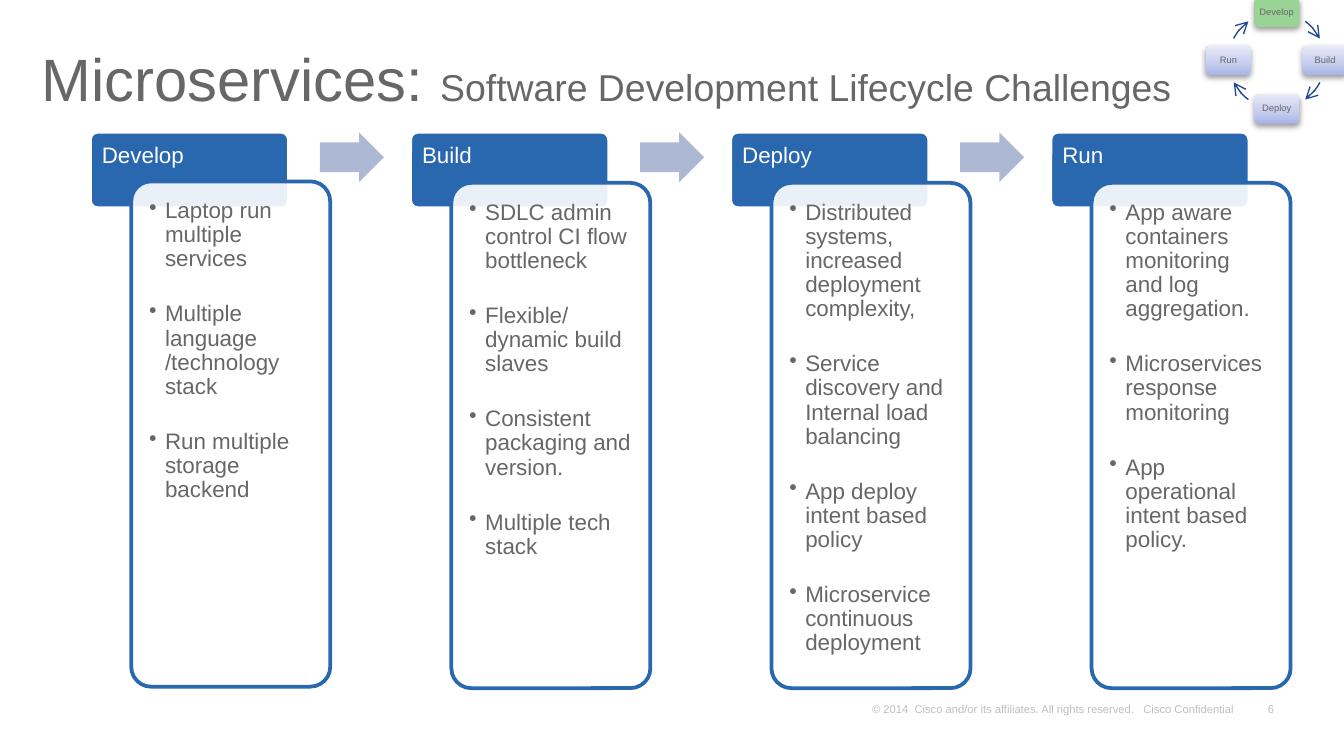
"""Build the microservices lifecycle challenges slide."""
from math import cos, radians, sin
from typing import Any, NamedTuple

from lxml.etree import SubElement
from pptx import Presentation
from pptx.dml.color import RGBColor
from pptx.enum.shapes import MSO_SHAPE as Preset
from pptx.enum.text import MSO_ANCHOR as Anchor, PP_ALIGN as Align
from pptx.oxml.ns import qn
from pptx.util import Pt

COLORS = {
    "blue": "2968AF", "white": "FFFFFF", "gray": "676767", "footer": "BFBFBF",
    "flow": "ADB9D4", "green": "9AD495", "arc": "214794", "shadow": "000000",
}
CARD_GRADIENT = {0: "A8B3E8", 35: "C3CAED", 100: "E8EAF9"}
STAGE_LEFT, STAGE_PITCH = 48.2, 171.5
CYCLE_X, CYCLE_Y, CYCLE_RADIUS = 684, 32.4, 25.9
CARD_WIDTH, CARD_HEIGHT = 24.3, 15.8
ARC_STARTS, ARC_SWEEP, ARC_STEPS = (-54, 27, 126, 207), 27, 8


class Box(NamedTuple):
    left: float
    top: float
    width: float
    height: float


class Span(NamedTuple):
    text: str
    size: float
    color: str


class Stage(NamedTuple):
    name: str
    challenges: tuple[str, ...]
    body_top: float = 98


class Card(NamedTuple):
    name: str
    column: int
    row: int


STAGES = (
    Stage("Develop", ("Laptop run multiple services", "Multiple language /technology stack",
                      "Run multiple storage backend"), 97.2),
    Stage("Build", ("SDLC admin control CI flow bottleneck", "Flexible/dynamic build slaves",
                    "Consistent packaging and version.", "Multiple tech stack")),
    Stage("Deploy", ("Distributed systems, increased deployment complexity,",
                     "Service discovery and Internal load balancing",
                     "App deploy intent based policy", "Microservice continuous deployment")),
    Stage("Run", ("App aware containers monitoring and log aggregation.",
                  "Microservices response monitoring", "App operational intent based policy.")),
)
CARDS = (Card("Develop", 0, -1), Card("Build", 1, 0), Card("Deploy", 0, 1), Card("Run", -1, 0))


def rgb(name: str) -> RGBColor:
    """Look up a named colour."""
    return RGBColor.from_string(COLORS[name])


def assign(target: Any, values: dict[str, Any]) -> None:
    """Set every format value on the target."""
    for key, value in values.items():
        setattr(target, key, value)


def set_frame(shape: Any, insets: tuple[float, ...], anchor: Any) -> None:
    """Wrap the text and set its insets and anchor."""
    sides = ("margin_left", "margin_top", "margin_right", "margin_bottom")
    margins = {side: Pt(inset) for side, inset in zip(sides, insets)}
    assign(shape.text_frame, {"word_wrap": True, "vertical_anchor": anchor, **margins})


def write(paragraph: Any, spans: tuple[Span, ...], **layout: Any) -> None:
    """Format a paragraph and add its runs."""
    assign(paragraph, layout)
    for span in spans:
        run = paragraph.add_run()
        run.text = span.text
        assign(run.font, {"name": "Arial", "size": Pt(span.size)})
        run.font.color.rgb = rgb(span.color)


def add_text(slide: Any, box: Box, spans: tuple[Span, ...], insets: tuple[float, ...],
             anchor: Any, **layout: Any) -> None:
    """Add a one-paragraph text box."""
    text_box = slide.shapes.add_textbox(*map(Pt, box))
    set_frame(text_box, insets, anchor)
    write(text_box.text_frame.paragraphs[0], spans, **layout)


def add_preset(slide: Any, preset: Any, box: Box, fill: str, line: str | None = None,
               adjustments: tuple[float, ...] = ()) -> Any:
    """Add a filled preset shape with an optional outline."""
    shape = slide.shapes.add_shape(preset, *map(Pt, box))
    shape.shadow.inherit = False
    shape.fill.solid()
    shape.fill.fore_color.rgb = rgb(fill)
    for index, value in enumerate(adjustments):
        shape.adjustments[index] = value
    if line:
        shape.line.color.rgb = rgb(line)
        shape.line.width = Pt(2)
    else:
        shape.line.fill.background()
    return shape


def add_bullet(paragraph: Any) -> None:
    """Give a paragraph a hanging bullet."""
    properties = paragraph._p.get_or_add_pPr()
    properties.set("marL", str(Pt(8.6)))
    properties.set("indent", str(-Pt(8.6)))
    SubElement(properties, qn("a:buChar"), char="•")


def add_stage(slide: Any, stage: Stage, left: float) -> None:
    """Draw a stage heading and its list of challenges."""
    header = add_preset(slide, Preset.ROUNDED_RECTANGLE, Box(left, 70.6, 106.6, 41),
                        "blue", "white", (0.1,))
    set_frame(header, (5.2, 5.2, 5.2, 3.6), Anchor.TOP)
    write(header.text_frame.paragraphs[0], (Span(stage.name, 12, "white"),),
          alignment=Align.LEFT, line_spacing=0.9)
    body = add_preset(slide, Preset.ROUNDED_RECTANGLE,
                      Box(left + 22.1, stage.body_top, 106.6, 270.7), "white", "blue", (0.1,))
    white = body._element.spPr.find(qn("a:solidFill")).find(qn("a:srgbClr"))
    SubElement(white, qn("a:alpha"), val="90000")
    set_frame(body, (6.4,) * 4, Anchor.TOP)
    for index, challenge in enumerate(stage.challenges):
        frame = body.text_frame
        paragraph = frame.add_paragraph() if index else frame.paragraphs[0]
        add_bullet(paragraph)
        write(paragraph, (Span(challenge, 12, "gray"),), alignment=Align.LEFT,
              line_spacing=0.9, space_after=Pt(16.5))


def add_card(slide: Any, card: Card) -> None:
    """Draw one card of the lifecycle ring."""
    box = Box(CYCLE_X + card.column * CYCLE_RADIUS - CARD_WIDTH / 2,
              CYCLE_Y + card.row * CYCLE_RADIUS - CARD_HEIGHT / 2, CARD_WIDTH, CARD_HEIGHT)
    shape = add_preset(slide, Preset.ROUNDED_RECTANGLE, box, "green")
    properties = shape._element.spPr
    if card.name != "Develop":
        shape.fill.gradient()
        shape.fill.gradient_angle = 90
        stops = properties.find(qn("a:gradFill")).find(qn("a:gsLst"))
        stops.clear()
        for position, color in CARD_GRADIENT.items():
            stop = SubElement(stops, qn("a:gs"), pos=str(position * 1000))
            SubElement(stop, qn("a:srgbClr"), val=color)
    shadow = SubElement(properties.find(qn("a:effectLst")), qn("a:outerShdw"),
                        blurRad=str(Pt(3.1)), dist=str(Pt(1.6)), dir="5400000", rotWithShape="0")
    shade = SubElement(shadow, qn("a:srgbClr"), val=COLORS["shadow"])
    SubElement(shade, qn("a:alpha"), val="38000")
    set_frame(shape, (1.4,) * 4, Anchor.MIDDLE)
    write(shape.text_frame.paragraphs[0], (Span(card.name, 5, "gray"),),
          alignment=Align.CENTER, line_spacing=0.9)


def add_arc(slide: Any, start: float) -> None:
    """Draw a clockwise arc arrow between two cards."""
    angles = [radians(start + ARC_SWEEP * step / ARC_STEPS) for step in range(ARC_STEPS + 1)]
    points = [(Pt(CYCLE_X + CYCLE_RADIUS * cos(angle)), Pt(CYCLE_Y + CYCLE_RADIUS * sin(angle)))
              for angle in angles]
    builder = slide.shapes.build_freeform(*points[0])
    builder.add_line_segments(points[1:], close=False)
    arc = builder.convert_to_shape()
    arc.shadow.inherit = False
    arc.fill.background()
    arc.line.color.rgb = rgb("arc")
    arc.line.width = Pt(0.75)
    SubElement(arc._element.spPr.find(qn("a:ln")), qn("a:tailEnd"), type="arrow")


def main() -> None:
    """Assemble and save the slide."""
    deck = Presentation()
    assign(deck, {"slide_width": Pt(720), "slide_height": Pt(405)})
    slide = deck.slides.add_slide(deck.slide_layouts[6])
    footer_insets = (5, 2.2, 5, 2.2)
    add_text(slide, Box(670.3, 373.7, 17.3, 12.2), (Span("6", 6, "footer"),),
             footer_insets, Anchor.BOTTOM, alignment=Align.RIGHT)
    rights = "© 2014  Cisco and/or its affiliates. All rights reserved.   Cisco Confidential"
    add_text(slide, Box(462.2, 373.7, 209.5, 12.2), (Span(rights, 6, "footer"),),
             footer_insets, Anchor.BOTTOM)
    add_text(slide, Box(15.1, 16.6, 687.6, 57.6),
             (Span("Microservices: ", 32, "gray"),
              Span("Software Development Lifecycle Challenges", 20, "gray")),
             (7.2, 3.6, 7.2, 3.6), Anchor.MIDDLE, line_spacing=0.8)
    for index, stage in enumerate(STAGES):
        left = STAGE_LEFT + index * STAGE_PITCH
        add_stage(slide, stage, left)
        if index < len(STAGES) - 1:
            add_preset(slide, Preset.RIGHT_ARROW, Box(left + 123.2, 71, 34.3, 26.6),
                       "flow", adjustments=(0.6, 0.5))
    for card, start in zip(CARDS, ARC_STARTS):
        add_card(slide, card)
        add_arc(slide, start)
    deck.save("out.pptx")


if __name__ == "__main__":
    main()
